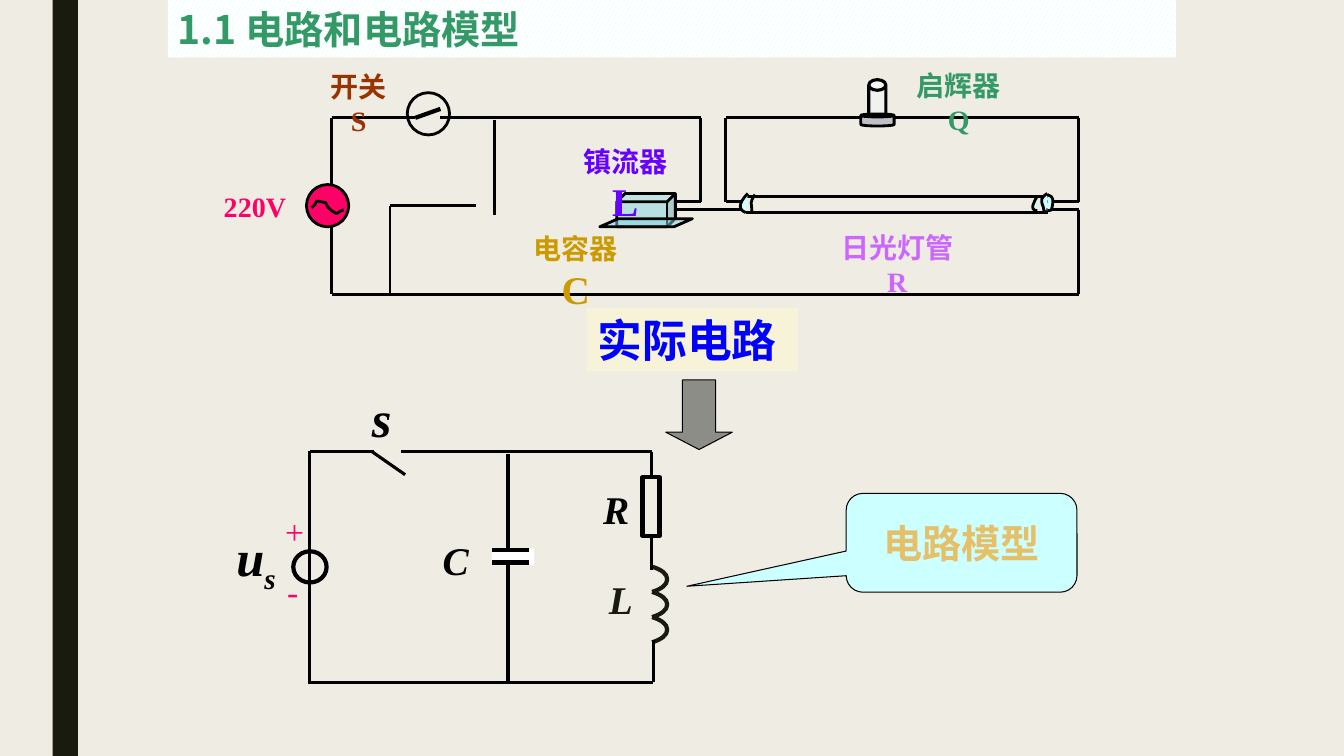
from lxml import etree
from pptx import Presentation
from pptx.dml.color import RGBColor
from pptx.enum.dml import MSO_PATTERN
from pptx.enum.shapes import MSO_CONNECTOR, MSO_SHAPE
from pptx.enum.text import MSO_ANCHOR, PP_ALIGN
from pptx.oxml.ns import qn
from pptx.util import Pt

STRAIGHT = MSO_CONNECTOR.STRAIGHT
RECT, OVAL, CAN = MSO_SHAPE.RECTANGLE, MSO_SHAPE.OVAL, MSO_SHAPE.CAN
CUBE, TRAY = MSO_SHAPE.CUBE, MSO_SHAPE.FLOWCHART_DATA
ARROW, CALLOUT = MSO_SHAPE.DOWN_ARROW, MSO_SHAPE.ROUNDED_RECTANGULAR_CALLOUT
CONFETTI = MSO_PATTERN.LARGE_CONFETTI
TOP, MIDDLE = MSO_ANCHOR.TOP, MSO_ANCHOR.MIDDLE
LEFT, CENTER = PP_ALIGN.LEFT, PP_ALIGN.CENTER
SERIF, SANS = "Times New Roman", "Noto Sans CJK SC"

COLORS = {
    "paper": "EFEDE3", "dark": "191B0E", "black": "000000", "white": "FFFFFF",
    "pink": "FF0066", "brown": "993300", "violet": "6600FF", "green": "339966",
    "orchid": "CC66FF", "gold": "CC9900", "blue": "0000FF", "sand": "E6C069",
    "teal": "7FD5E1", "ice": "CCFFFF", "cream": "FDF9CF", "pale": "F1F1EF",
    "silver": "C0C1C2", "gray": "8C8D86",
}


def rgb(name):
    return RGBColor.from_string(COLORS[name])


def paint(shape, fill=None, line=None, width=2, alpha=None):
    shape.shadow.inherit = False
    if fill:
        shape.fill.solid()
        shape.fill.fore_color.rgb = rgb(fill)
        if alpha:
            color = shape.fill._xPr.find(qn("a:solidFill"))[0]
            etree.SubElement(color, qn("a:alpha")).set("val", str(alpha * 1000))
    else:
        shape.fill.background()
    if line:
        shape.line.color.rgb = rgb(line)
        shape.line.width = Pt(width)
    else:
        shape.line.fill.background()


def add_part(slide, kind, box, fill=None, line="black", width=2, alpha=None, adjust=()):
    part = slide.shapes.add_shape(kind, *map(Pt, box))
    for index, value in enumerate(adjust):
        part.adjustments[index] = value
    paint(part, fill, line, width, alpha)
    return part


def add_wire(slide, *points, width=2):
    """Joins the points one after another with straight connectors."""
    for start, end in zip(points, points[1:]):
        wire = slide.shapes.add_connector(STRAIGHT, *map(Pt, start + end))
        wire.line.color.rgb = rgb("black")
        wire.line.width = Pt(width)
        etree.SubElement(wire._element.spPr, qn("a:effectLst"))


def add_curve(slide, points, fill=None, line="black", width=2):
    """Draws cubic curves: a start, then two controls and an end for each."""
    builder = slide.shapes.build_freeform(*map(Pt, points[0]))
    builder.add_line_segments([tuple(map(Pt, point)) for point in points[1:]], close=False)
    curve = builder.convert_to_shape()
    segments = list(curve._element.iter(qn("a:lnTo")))
    outline = segments[0].getparent()
    for first in range(0, len(segments), 3):
        cubic = etree.SubElement(outline, qn("a:cubicBezTo"))
        for segment in segments[first:first + 3]:
            cubic.append(segment[0])
            outline.remove(segment)
    paint(curve, fill, line, width)


def write(shape, runs, color, font=SERIF, bold=True, italic=False,
          align=CENTER, anchor=TOP, wrap=False):
    frame = shape.text_frame
    frame.word_wrap = wrap
    frame.vertical_anchor = anchor
    paragraph = frame.paragraphs[0]
    paragraph.alignment = align
    for text, size in runs:
        run = paragraph.add_run()
        run.text = text
        run.font.name = font
        run.font.size = Pt(size)
        run.font.bold = bold
        run.font.italic = italic
        run.font.color.rgb = rgb(color)
        etree.SubElement(run._r.rPr, qn("a:ea")).set("typeface", SANS)
    return paragraph


def add_label(slide, box, runs, color, **style):
    label = slide.shapes.add_textbox(*map(Pt, box))
    return write(label, runs, color, **style)


def add_part_name(slide, box, name, letter, letter_size, color):
    """Labels a part, with side margins that push its letter to a second line."""
    label = slide.shapes.add_textbox(*map(Pt, box))
    margin = (box[2] - 20 * len(name) - 4) / 2
    label.text_frame.margin_left = Pt(margin - 0.5)
    label.text_frame.margin_right = Pt(margin + 0.5)
    runs = [(name + letter, 20)] if letter_size == 20 else [(name, 20), (letter, letter_size)]
    write(label, runs, color, wrap=True)


def draw_real_circuit(slide):
    left, right, top, bottom = 236.9, 770.4, 84.2, 210.2
    add_label(slide, (152.6, 131.8, 59, 31), [("220V", 20)], "pink")
    add_part(slide, OVAL, (218.9, 131.8, 30.2, 30.2), "pink")
    add_curve(slide, [(222.5, 148.3), (229.7, 143.3), (221, 142.6), (232.6, 144.7),
                      (234, 148.3), (236.2, 150.5), (240.5, 152.6),
                      (244.1, 150.5), (241.9, 151.2), (245.5, 149.8)], "pink")
    add_wire(slide, (left, 131.8), (left, top), (296.6, top))
    add_wire(slide, (left, 162), (left, bottom), (right, bottom), (right, 149.8), (746.6, 149.8))
    add_wire(slide, (314.6, top), (500.4, top), (500.4, 144), (482.4, 144))
    add_wire(slide, (278.6, bottom), (278.6, 146.9), (339.8, 146.9))
    add_wire(slide, (353.5, 85.7), (353.5, 153.4))
    add_wire(slide, (530.6, 149.8), (482.4, 149.8))
    add_wire(slide, (530.6, 144), (518.4, 144), (518.4, top), (614.9, top))
    add_wire(slide, (638.6, top), (right, top), (right, 144), (746.6, 144))

    add_part(slide, OVAL, (290.9, 66.2, 30.2, 30.2))
    add_wire(slide, (296.6, top), (314.6, 77.8), width=3)
    add_part(slide, CUBE, (440.6, 138.2, 41.8, 23.8), "teal", alpha=50, adjust=[0.25])
    add_part(slide, TRAY, (428.4, 156.2, 66.2, 5.8), "teal", alpha=50)
    add_part(slide, CAN, (620.6, 56.9, 12.2, 30.2), "pale", width=2.25, adjust=[0.625])
    add_part(slide, CAN, (614.9, 81.4, 23.8, 8.6), "silver", adjust=[0.25])
    for edge in (140.4, 151.9):
        add_wire(slide, (532.8, edge), (748.8, edge))
    tube_ends = [
        [(748.1, 138.2), (743.8, 141.1), (743, 142.6), (745.2, 147.6),
         (745.9, 151.2), (745.2, 149.8), (747.4, 151.9)],
        [(748.1, 139), (748.8, 139.7), (750.2, 139.7), (751, 140.4),
         (753.1, 141.8), (751.7, 148.3), (751, 149.8),
         (751, 150.5), (748.1, 150.5), (748.1, 150.5)],
        [(532.8, 151.9), (524.9, 149), (530.6, 141.8), (534.2, 138.2)],
        [(539.3, 139), (535, 145.4), (537.1, 144), (537.1, 151.9)],
        [(740.9, 140.4), (739.4, 142.6), (734.4, 150.5), (740.9, 150.5)],
    ]
    for tube_end in tube_ends:
        add_curve(slide, tube_end, "ice")

    caption = add_part(slide, RECT, (419, 220, 151.2, 45.4), "cream", None, alpha=50)
    write(caption, [("实际电路 ", 32)], "blue")
    for box, name, letter, size, color in [
        ((223.9, 46.1, 65.5, 31), "开关", "S", 20, "brown"),
        ((400.3, 99.4, 93.6, 41), "镇流器", "L", 28, "violet"),
        ((640.1, 45.4, 90.7, 31), "启辉器", "Q", 20, "green"),
        ((586.8, 161.3, 109.4, 31), "日光灯管", "R", 20, "orchid"),
        ((364.3, 162, 95, 41), "电容器", "C", 28, "gold"),
    ]:
        add_part_name(slide, box, name, letter, size, color)


def draw_circuit_model(slide):
    left, middle, right, top, bottom = 221, 362.9, 465.1, 322.6, 487.4
    add_part(slide, RECT, (459, 340.9, 12.2, 41.8), width=3)
    for turn in range(3):
        y = 404.8 + 18 * turn
        add_curve(slide, [(465.8, y), (472.3, y + 2), (476.6, y + 5), (476.6, y + 9),
                          (476.6, y + 13), (472.3, y + 16), (465.8, y + 18)],
                  line="dark", width=3)
    add_part(slide, RECT, (351.4, 391.7, 30.2, 12.2), "white", None)
    for plate in (393.1, 401.8):
        add_wire(slide, (351.4, plate), (378, plate), width=3)
    for wire in [
        [(right, top), (right, 340.6)],
        [(right, 382.3), (right, 406.8)],
        [(466.6, 457.2), (466.6, bottom), (left, bottom)],
        [(235.4, top), (267.1, top)],
        [(265.7, top), (289.4, 339.1)],
        [(286.6, top), (325.4, top), (465.8, top)],
        [(left, 488.9), (left, 426.2)],
        [(left, 321.8), (left, 396)],
        [(221.8, top), (238.3, top)],
        [(middle, 324), (middle, 393.1)],
        [(middle, 403.2), (middle, bottom)],
        [(left, 352.1), (left, 459.4)],
    ]:
        add_wire(slide, *wire, width=2.25)
    add_part(slide, OVAL, (209.5, 393.8, 23.8, 22.3), width=3)

    for box, runs, color in [
        ((423.4, 334.8, 42.5, 50.4), [("R", 28), (" ", 36)], "black"),
        ((427.7, 407.5, 31.7, 41), [("L", 28)], "dark"),
        ((258.5, 272.9, 37.4, 50.4), [("s ", 36)], "black"),
        ((308.9, 379.4, 33.1, 41), [("C", 28)], "black"),
    ]:
        add_label(slide, box, runs, color, italic=True, anchor=MIDDLE)
    source = add_label(slide, (159.2, 375.1, 52.6, 50.4), [("u", 36), ("s ", 36)],
                       "black", italic=True, anchor=MIDDLE)
    source.runs[1].font._element.set("baseline", "-25000")
    for box, sign in [((196.6, 361.4, 28.1, 36), "+"), ((198, 403.9, 22.3, 36), "-")]:
        add_label(slide, box, [(sign, 24)], "pink", bold=False, align=LEFT)


def main():
    deck = Presentation()
    deck.slide_width, deck.slide_height = Pt(960), Pt(540)
    slide = deck.slides.add_slide(deck.slide_layouts[6])
    slide.background.fill.solid()
    slide.background.fill.fore_color.rgb = rgb("paper")
    add_part(slide, RECT, (37.6, 0, 18, 540), "dark", None)

    draw_real_circuit(slide)
    add_part(slide, ARROW, (475.6, 271.4, 47.5, 49.7), "gray", width=0.75, adjust=[0.5, 0.26])
    draw_circuit_model(slide)
    callout = add_part(slide, CALLOUT, (604.4, 352.4, 164.9, 70.6), "ice", width=0.75,
                       adjust=[-1.19, 0.44, 0.17])
    write(callout, [("电路模型", 28)], "sand", anchor=MIDDLE)

    title = add_part(slide, RECT, (120, 0, 720, 41), "white", None)
    title.fill.patterned()
    title.fill.pattern = CONFETTI
    title.fill.fore_color.rgb = rgb("ice")
    title.fill.back_color.rgb = rgb("white")
    write(title, [("1.1 电路和电路模型", 28)], "green", font=SANS, align=LEFT, wrap=True)
    deck.save("out.pptx")


if __name__ == "__main__":
    main()
